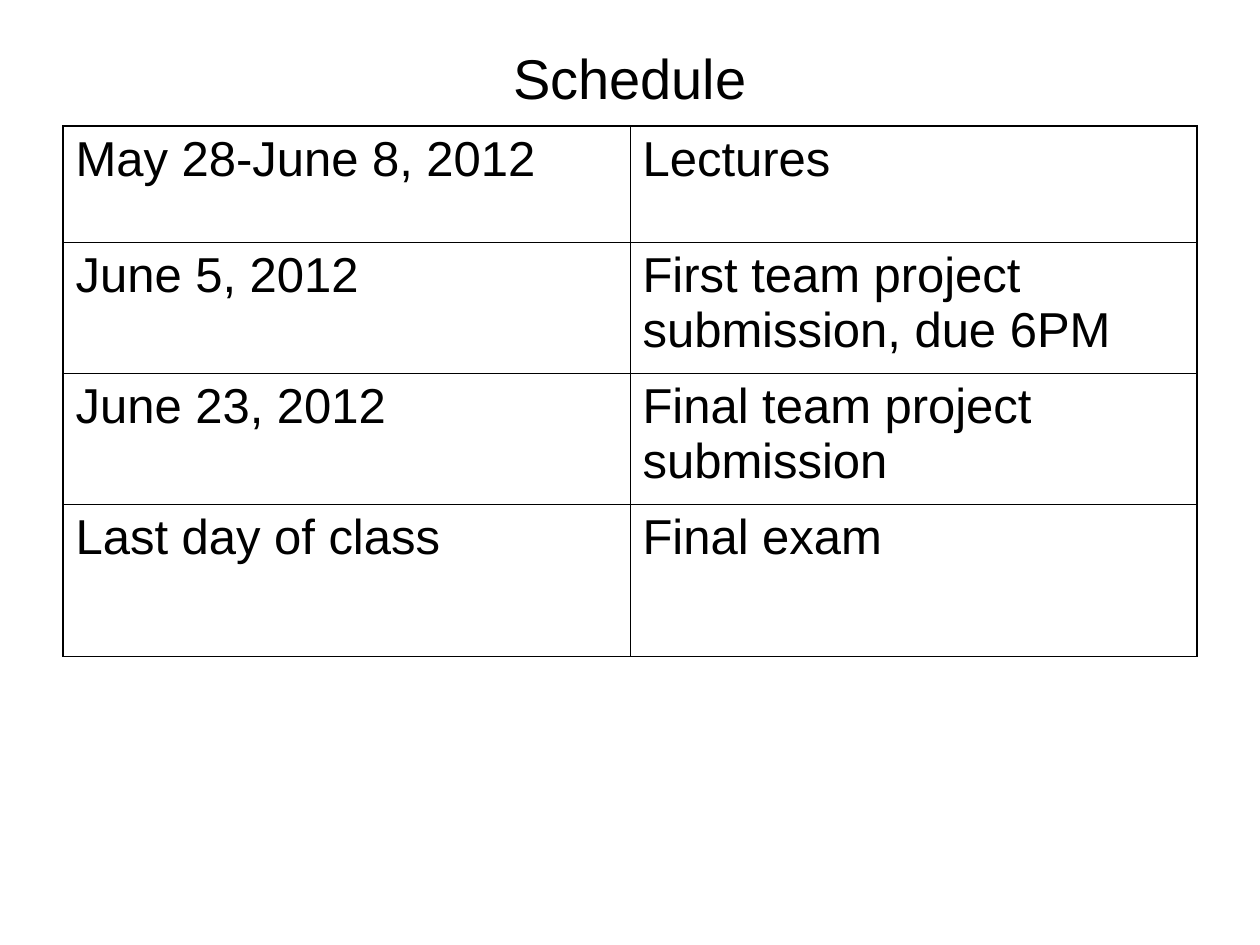
from lxml.etree import SubElement
from pptx import Presentation
from pptx.dml.color import RGBColor
from pptx.enum.text import MSO_ANCHOR, PP_ALIGN
from pptx.oxml.ns import qn
from pptx.util import Pt

BLACK = "000000"
OUTER_WIDTH, INNER_WIDTH = 1.08, 0.45
ROW_HEIGHTS = [66.24, 74.88, 74.88, 87.12]
SCHEDULE = [
    ("May 28-June 8, 2012", "Lectures"),
    ("June 5, 2012", "First team project submission, due 6PM"),
    ("June 23, 2012", "Final team project submission"),
    ("Last day of class", "Final exam"),
]


def color(hex_string):
    return RGBColor.from_string(hex_string)


def format_text(text_frame, size, alignment, space_before=0):
    text_frame.word_wrap = True
    for paragraph in text_frame.paragraphs:
        paragraph.alignment = alignment
        paragraph.space_before = Pt(space_before)
        for run in paragraph.runs:
            run.font.name = "Arial"
            run.font.size = Pt(size)
            run.font.color.rgb = color(BLACK)


def set_margins(target):
    """Give a cell or text frame the common inner margins."""
    target.margin_left = target.margin_right = Pt(7.2)
    target.margin_top = target.margin_bottom = Pt(3.6)


def add_border(cell, side, width):
    properties = cell._tc.get_or_add_tcPr()
    line = SubElement(properties, qn(f"a:ln{side}"), w=str(Pt(width)))
    fill = SubElement(line, qn("a:solidFill"))
    SubElement(fill, qn("a:srgbClr"), val=BLACK)


def place_title(slide, left, top, width, height):
    title = slide.shapes.title
    title.left, title.top = Pt(left), Pt(top)
    title.width, title.height = Pt(width), Pt(height)
    text_frame = title.text_frame
    text_frame.text = "Schedule"
    text_frame.vertical_anchor = MSO_ANCHOR.MIDDLE
    set_margins(text_frame)
    format_text(text_frame, 32, PP_ALIGN.CENTER)


def place_schedule(slide, left, top, width):
    row_count, column_count = len(SCHEDULE), len(SCHEDULE[0])
    table = slide.shapes.add_table(
        row_count, column_count,
        Pt(left), Pt(top), Pt(width), Pt(sum(ROW_HEIGHTS)),
    ).table
    table.first_row = table.horz_banding = False
    for column in table.columns:
        column.width = Pt(width / column_count)
    for row_index, entries in enumerate(SCHEDULE):
        table.rows[row_index].height = Pt(ROW_HEIGHTS[row_index])
        for column_index, entry in enumerate(entries):
            cell = table.cell(row_index, column_index)
            cell.text_frame.text = entry
            cell.vertical_anchor = MSO_ANCHOR.TOP
            set_margins(cell)
            format_text(cell.text_frame, 28, PP_ALIGN.LEFT, space_before=7)
            on_outer_edge = {
                "L": column_index == 0,
                "R": column_index == column_count - 1,
                "T": row_index == 0,
                "B": row_index == row_count - 1,
            }
            for side, is_outer in on_outer_edge.items():
                add_border(cell, side, OUTER_WIDTH if is_outer else INNER_WIDTH)
            cell.fill.background()


def main():
    presentation = Presentation()
    presentation.slide_width, presentation.slide_height = Pt(720), Pt(540)
    title_only = presentation.slide_layouts[5]
    slide = presentation.slides.add_slide(title_only)
    slide.background.fill.solid()
    slide.background.fill.fore_color.rgb = color("FFFFFF")
    place_title(slide, 36, 21.6, 648, 44.64)
    place_schedule(slide, 36, 72, 648)
    presentation.save("out.pptx")


if __name__ == "__main__":
    main()
